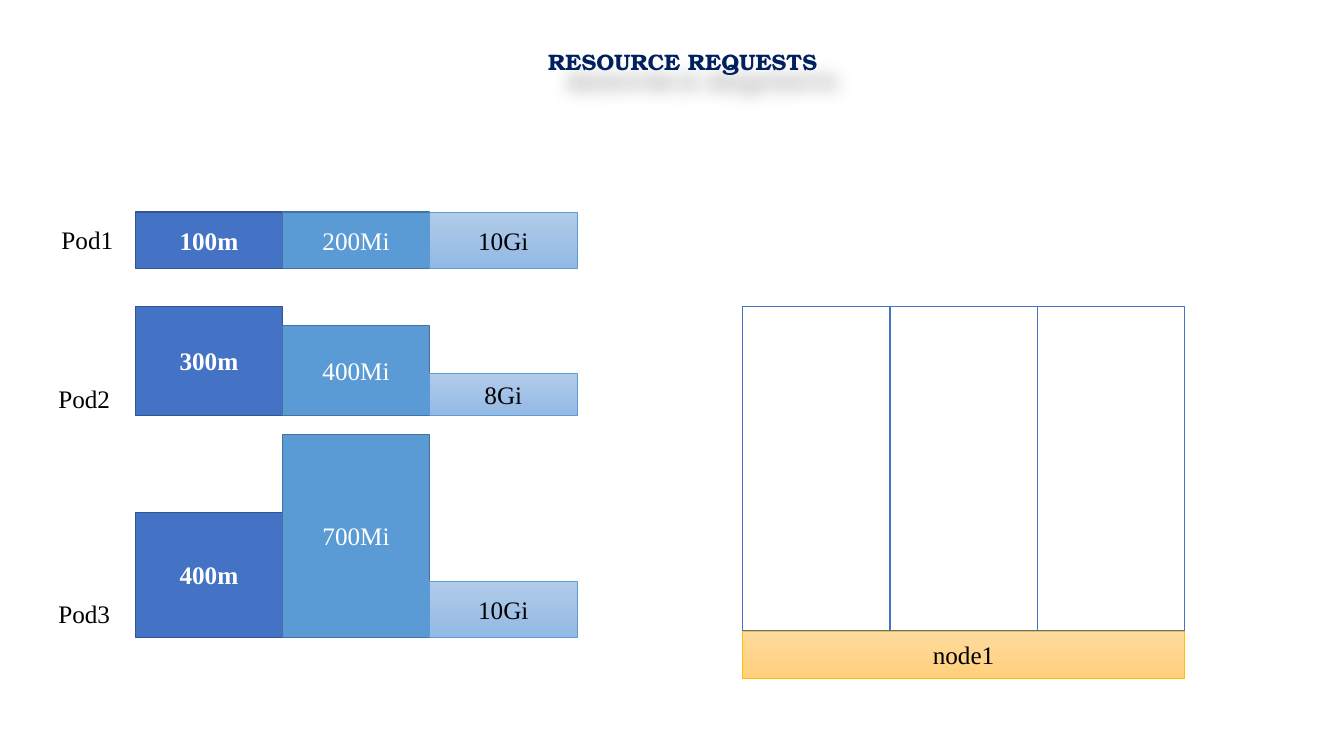
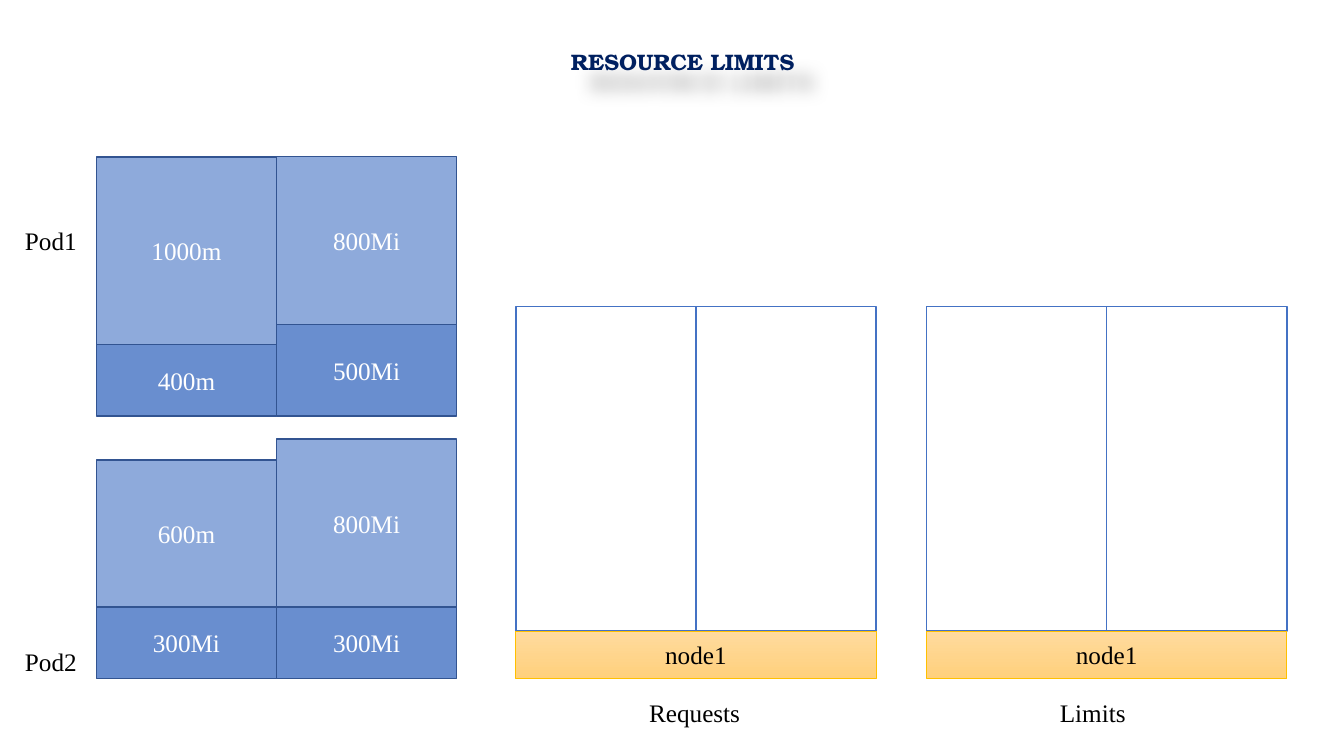
"""Build two slides on pod resource requests and limits."""
from collections import namedtuple

from lxml.etree import SubElement
from pptx import Presentation
from pptx.dml.color import RGBColor
from pptx.enum.shapes import MSO_SHAPE
from pptx.enum.text import MSO_ANCHOR, MSO_AUTO_SIZE, PP_ALIGN
from pptx.oxml.ns import qn
from pptx.util import Cm, Pt

NAVY = RGBColor(0x00, 0x20, 0x60)
BLUE = RGBColor(0x44, 0x72, 0xC4)
DARK_BLUE = RGBColor(0x32, 0x54, 0x91)
SKY = RGBColor(0x5B, 0x9B, 0xD5)
DARK_SKY = RGBColor(0x43, 0x73, 0x9E)
PALE_TOP = RGBColor(0xB1, 0xCB, 0xE9)
PALE_BOTTOM = RGBColor(0x93, 0xB9, 0xE4)
GOLD = RGBColor(0xFF, 0xC0, 0x00)
SAND_TOP = RGBColor(0xFF, 0xDB, 0x9E)
SAND_BOTTOM = RGBColor(0xFF, 0xD0, 0x7C)
WHITE = RGBColor(0xFF, 0xFF, 0xFF)
BLACK = RGBColor(0x00, 0x00, 0x00)

TITLE_FONT = "TeX Gyre Bonum"
BODY_FONT = "Times New Roman"

Style = namedtuple("Style", "fills line line_width ink bold opacity")
CPU = Style([BLUE], DARK_BLUE, 1, WHITE, True, 100)
MEMORY = Style([SKY], DARK_SKY, 1, WHITE, False, 100)
STORAGE = Style([PALE_TOP, PALE_BOTTOM], SKY, 0.5, BLACK, False, 100)
REQUEST = Style([BLUE], DARK_BLUE, 1, WHITE, False, 80)
LIMIT = Style([BLUE], DARK_BLUE, 1, WHITE, False, 60)
BAY = Style([WHITE], BLUE, 1, BLACK, False, 100)
NODE = Style([SAND_TOP, SAND_BOTTOM], GOLD, 0.5, BLACK, False, 100)

REQUEST_PODS = [
    ("Pod1", (1.3, 5.54), 6.76,
     [[("100m", 1.42, CPU)], [("200Mi", 1.42, MEMORY)], [("10Gi", 1.42, STORAGE)]]),
    ("Pod2", (1.22, 9.53), 10.47,
     [[("300m", 2.75, CPU)], [("400Mi", 2.26, MEMORY)], [("8Gi", 1.05, STORAGE)]]),
    ("Pod3", (1.22, 14.96), 16.06,
     [[("400m", 3.15, CPU)], [("700Mi", 5.11, MEMORY)], [("10Gi", 1.42, STORAGE)]]),
]
LIMIT_PODS = [
    ("Pod1", (0.38, 5.56), 10.48,
     [[("400m", 1.8, REQUEST), ("1000m", 4.72, LIMIT)],
      [("500Mi", 2.3, REQUEST), ("800Mi", 4.24, LIMIT)]]),
    ("Pod2", (0.38, 16.15), 17.1,
     [[("300Mi", 1.8, REQUEST), ("600m", 3.71, LIMIT)],
      [("300Mi", 1.8, REQUEST), ("800Mi", 4.24, LIMIT)]]),
]
SLIDES = [
    ("RESOURCE REQUESTS", REQUEST_PODS, 3.41, 3.71, [(18.72, None, 0)]),
    ("RESOURCE LIMITS", LIMIT_PODS, 2.43, 4.54,
     [(13, "Requests", 2.82), (23.35, "Limits", 2.18)]),
]

BAY_TOP, BAY_HEIGHT, NODE_HEIGHT = 7.72, 8.18, 1.2
LABEL_WIDTH, LABEL_HEIGHT = 1.83, 1.02
CAPTION_INDENT, CAPTION_TOP = 3.11, 17.45


def format_run(paragraph, font_name, size, ink, bold=False):
    """Format the text of a paragraph."""
    font = paragraph.runs[0].font
    font.name, font.size, font.bold = font_name, Pt(size), bold
    font.color.rgb = ink


def add_title(slide, wording):
    """Fill the title placeholder and give it a soft shadow."""
    title = slide.shapes.title
    title.left, title.top, title.width, title.height = Cm(5.51), Cm(1.09), Cm(23.39), Cm(0.94)
    frame = title.text_frame
    frame.text = wording
    frame.auto_size = MSO_AUTO_SIZE.NONE
    frame.vertical_anchor = MSO_ANCHOR.TOP
    frame.paragraphs[0].alignment = PP_ALIGN.CENTER
    format_run(frame.paragraphs[0], TITLE_FONT, 16, NAVY, True)
    effects = SubElement(title._element.spPr, qn("a:effectLst"))
    shadow = SubElement(effects, qn("a:outerShdw"), blurRad=str(Pt(12)),
                        dist=str(Pt(19)), dir="2700000", algn="tl", rotWithShape="0")
    tint = SubElement(shadow, qn("a:srgbClr"), val=str(BLACK))
    SubElement(tint, qn("a:alpha"), val="30000")


def add_block(slide, left, top, width, height, style, wording=""):
    """Draw one rectangle in the given style."""
    block = slide.shapes.add_shape(
        MSO_SHAPE.FLOWCHART_PROCESS, Cm(left), Cm(top), Cm(width), Cm(height))
    block.shadow.inherit = False
    if len(style.fills) > 1:
        block.fill.gradient()
        block.fill.gradient_angle = 270
        for stop, tint in zip(block.fill.gradient_stops, style.fills):
            stop.color.rgb = tint
    else:
        block.fill.solid()
        block.fill.fore_color.rgb = style.fills[0]
    if style.opacity < 100:
        tint = block._element.spPr.find(qn("a:solidFill")).find(qn("a:srgbClr"))
        SubElement(tint, qn("a:alpha"), val=str(style.opacity * 1000))
    block.line.color.rgb = style.line
    block.line.width = Pt(style.line_width)
    if wording:
        frame = block.text_frame
        frame.text = wording
        frame.vertical_anchor = MSO_ANCHOR.MIDDLE
        frame.paragraphs[0].alignment = PP_ALIGN.CENTER
        format_run(frame.paragraphs[0], BODY_FONT, 18, style.ink, style.bold)


def add_label(slide, left, top, wording, width=LABEL_WIDTH):
    """Write one line of plain text."""
    label = slide.shapes.add_textbox(Cm(left), Cm(top), Cm(width), Cm(LABEL_HEIGHT))
    frame = label.text_frame
    frame.text = wording
    frame.word_wrap = False
    frame.auto_size = MSO_AUTO_SIZE.SHAPE_TO_FIT_TEXT
    format_run(frame.paragraphs[0], BODY_FONT, 18, BLACK)


def add_pod(slide, pod, left, width):
    """Stack the resource blocks of a pod upwards from its base."""
    name, label_place, base, stacks = pod
    add_label(slide, *label_place, name)
    for column, stack in enumerate(stacks):
        top = base
        for amount, height, style in stack:
            top -= height
            add_block(slide, left + column * width, top, width, height, style, amount)


def add_node(slide, left, width, bays, caption, caption_width):
    """Draw the empty bays of a node, its bar and its caption."""
    for bay in range(bays):
        add_block(slide, left + bay * width, BAY_TOP, width, BAY_HEIGHT, BAY)
    add_block(slide, left, BAY_TOP + BAY_HEIGHT, bays * width, NODE_HEIGHT, NODE, "node1")
    if caption:
        add_label(slide, left + CAPTION_INDENT, CAPTION_TOP, caption, caption_width)


deck = Presentation()
deck.slide_width, deck.slide_height = Cm(33.87), Cm(19.05)
for heading, pods, pods_left, column_width, nodes in SLIDES:
    page = deck.slides.add_slide(deck.slide_layouts[5])
    add_title(page, heading)
    for node_left, caption, caption_width in nodes:
        add_node(page, node_left, column_width, len(pods[0][3]), caption, caption_width)
    for pod in pods:
        add_pod(page, pod, pods_left, column_width)
deck.save("out.pptx")
